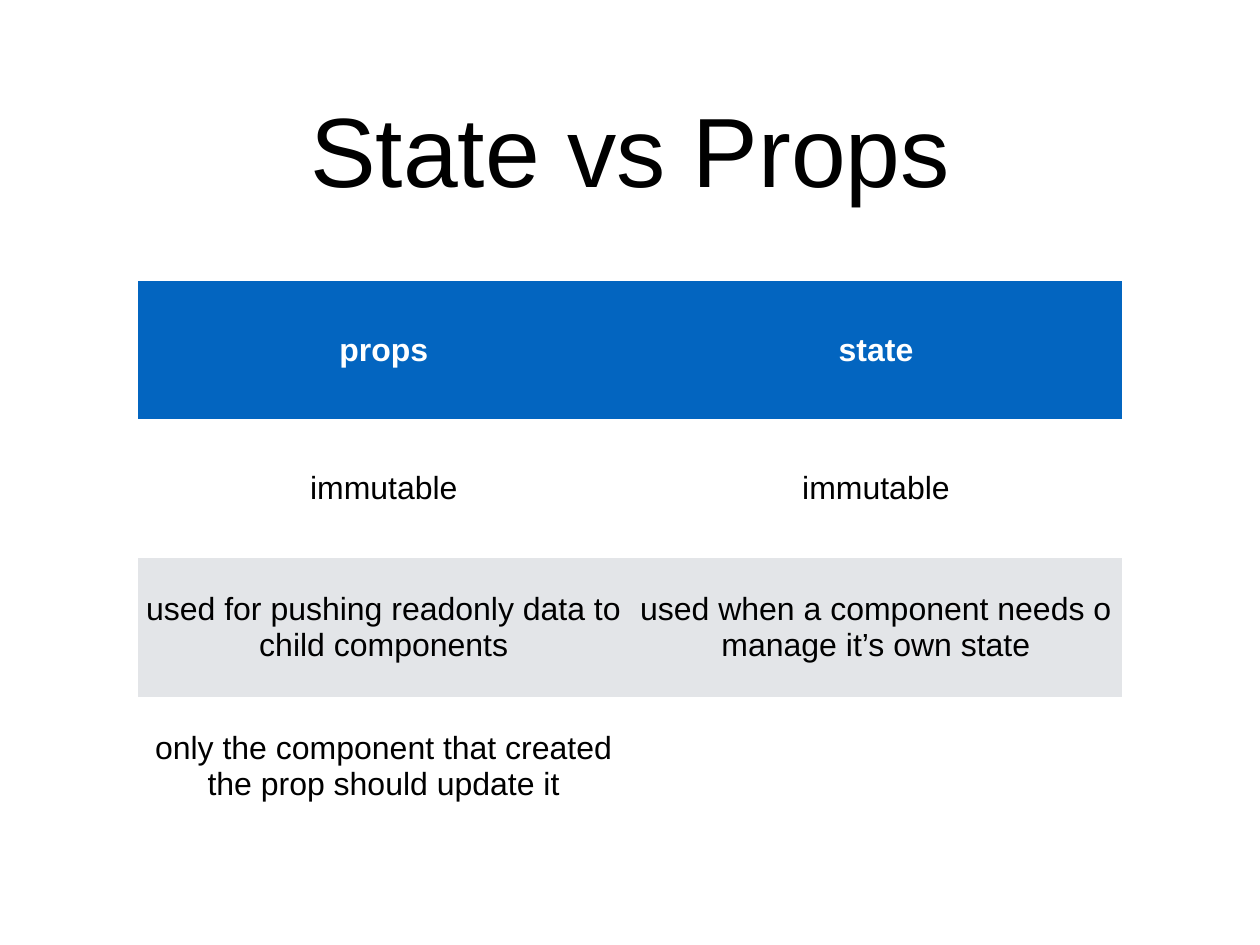
from dataclasses import dataclass

from pptx import Presentation
from pptx.dml.color import RGBColor
from pptx.enum.text import MSO_ANCHOR, MSO_AUTO_SIZE, PP_ALIGN
from pptx.oxml.ns import qn
from pptx.slide import Slide
from pptx.table import Table
from pptx.text.text import TextFrame
from pptx.util import Emu, Pt

PX = 10160  # EMU; 90 px to the inch
SLIDE_W, SLIDE_H = 1280, 960
TITLE_BOX = (94, 44, 1093, 212)
TABLE_LEFT, TABLE_TOP = 140, 285
COL_W, ROW_H = 500, 141
INSET = 5
FONT = "Arial"
NO_STYLE_NO_GRID = "{2D5ABB26-0587-4C30-8999-92F81FD0307C}"

BLACK = RGBColor(0x00, 0x00, 0x00)
WHITE = RGBColor(0xFF, 0xFF, 0xFF)
BLUE = RGBColor(0x03, 0x65, 0xC0)
GREY = RGBColor(0xE3, 0xE5, 0xE8)


@dataclass(frozen=True)
class Row:
    props: str
    state: str
    fill: RGBColor
    color: RGBColor = BLACK
    bold: bool = False


ROWS = [
    Row("props", "state", BLUE, WHITE, True),
    Row("immutable", "immutable", WHITE),
    Row("used for pushing readonly data to child components",
        "used when a component needs o manage it’s own state", GREY),
    Row("only the component that created the prop should update it", "", WHITE),
]


def px(n: int) -> Emu:
    return Emu(n * PX)


def set_attrs(target: object, values: dict) -> None:
    for name, value in values.items():
        setattr(target, name, value)


def margins() -> dict:
    return {f"margin_{side}": px(INSET) for side in ("left", "top", "right", "bottom")}


def write(tf: TextFrame, text: str, size: int, color: RGBColor, bold: bool = False) -> None:
    p = tf.paragraphs[0]
    p.alignment = PP_ALIGN.CENTER
    font = p.font
    if text:
        r = p.add_run()
        r.text = text
        font = r.font
    set_attrs(font, {"name": FONT, "size": Pt(size), "bold": bold})
    font.color.rgb = color


def add_title(s: Slide, text: str) -> None:
    sp = s.shapes.title
    set_attrs(sp, dict(zip(("left", "top", "width", "height"), map(px, TITLE_BOX))))
    tf = sp.text_frame
    set_attrs(tf, {"word_wrap": True, "auto_size": MSO_AUTO_SIZE.NONE,
                   "vertical_anchor": MSO_ANCHOR.MIDDLE, **margins()})
    write(tf, text, 80, BLACK)


def fill_row(table: Table, index: int, row: Row) -> None:
    table.rows[index].height = px(ROW_H)
    for col, text in enumerate((row.props, row.state)):
        cell = table.cell(index, col)
        set_attrs(cell, {"vertical_anchor": MSO_ANCHOR.MIDDLE, **margins()})
        cell.fill.solid()
        cell.fill.fore_color.rgb = row.fill
        write(cell.text_frame, text, 26, row.color, row.bold)


def add_comparison(s: Slide) -> None:
    table = s.shapes.add_table(len(ROWS), 2, px(TABLE_LEFT), px(TABLE_TOP),
                               px(2 * COL_W), px(len(ROWS) * ROW_H)).table
    set_attrs(table, {"first_row": True, "horz_banding": False})
    table._tbl.tblPr.find(qn("a:tableStyleId")).text = NO_STYLE_NO_GRID
    for index, row in enumerate(ROWS):
        fill_row(table, index, row)


def main() -> None:
    prs = Presentation()
    set_attrs(prs, {"slide_width": px(SLIDE_W), "slide_height": px(SLIDE_H)})
    s = prs.slides.add_slide(prs.slide_layouts.get_by_name("Title Only"))
    s.background.fill.solid()
    s.background.fill.fore_color.rgb = WHITE
    add_title(s, "State vs Props")
    add_comparison(s)
    prs.save("out.pptx")


if __name__ == "__main__":
    main()
